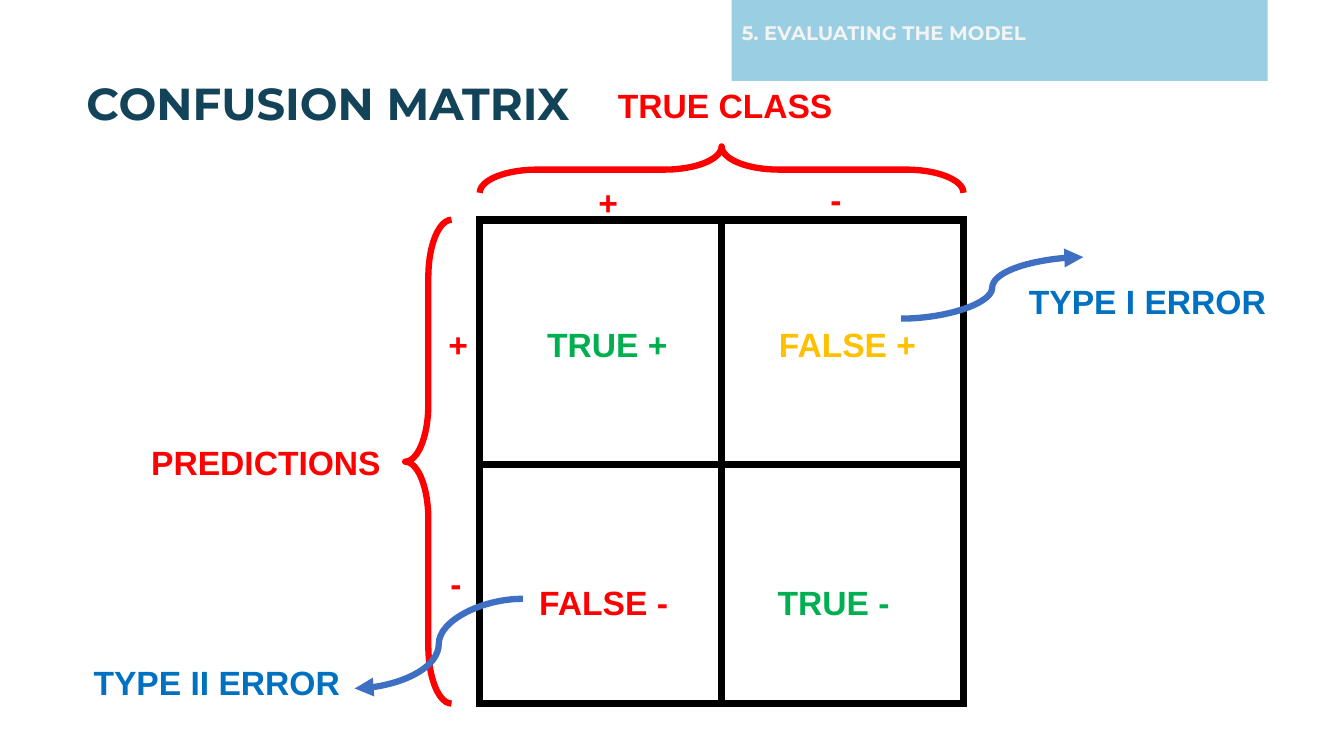
from dataclasses import dataclass
from lxml import etree
from pptx import Presentation
from pptx.dml.color import RGBColor
from pptx.enum.shapes import MSO_CONNECTOR, MSO_SHAPE
from pptx.enum.text import MSO_ANCHOR, MSO_AUTO_SIZE, PP_ALIGN
from pptx.oxml.ns import qn
from pptx.util import Cm, Pt

RECT, BRACE = MSO_SHAPE.RECTANGLE, MSO_SHAPE.LEFT_BRACE
CURVE = MSO_CONNECTOR.CURVE
MIDDLE, LEFT = MSO_ANCHOR.MIDDLE, PP_ALIGN.LEFT
FIT, FIXED = MSO_AUTO_SIZE.SHAPE_TO_FIT_TEXT, MSO_AUTO_SIZE.NONE


@dataclass(frozen=True)
class Theme:
    head: str = "Montserrat"
    body: str = "Arial"
    bar: str = "9ACFE3"
    pale: str = "F3F3F1"
    navy: str = "124359"
    red: str = "FF0000"
    green: str = "00B050"
    gold: str = "FFC000"
    blue: str = "0070C0"
    arrow: str = "3F6FC3"
    grid: str = "000000"
    small: int = 14
    label: int = 24
    large: int = 32
    stroke: float = 4.5
    border: int = 6


T = Theme()

# Content: lengths in cm
SECTION = "5. EVALUATING THE MODEL"
HEADING = "CONFUSION MATRIX"
LABELS = [  # text, colour, left, top, width
    ("PREDICTIONS", T.red, 3.56, 11, 6.35),
    ("TRUE CLASS", T.red, 15.32, 2.01, 6.22),
    ("TRUE +", T.green, 13.54, 8.05, 3.58),
    ("FALSE +", T.gold, 19.38, 8.05, 4.01),
    ("FALSE -", T.red, 13.34, 14.53, 3.78),
    ("TRUE -", T.green, 19.35, 14.53, 3.35),
    ("+", T.red, 11.05, 8.05, 1.02),
    ("-", T.red, 11.1, 14.07, 0.71),
    ("+", T.red, 14.83, 4.45, 1.02),
    ("-", T.red, 20.68, 4.39, 0.71),
    ("TYPE II ERROR", T.blue, 2.11, 16.56, 7.01),
    ("TYPE I ERROR", T.blue, 25.68, 6.96, 6.55),
]
ARROWS = [  # from x, y, to x, y
    (13.18, 15.09, 8.94, 17.35),
    (22.71, 8.03, 27.3, 6.48),
]
GRID_X, GRID_Y, SIDE = 12.09, 5.54, 12.19
ROWS = (6.17, 6.02)
DEPTH, GAP_X, GAP_Y = 1.17, 0.71, 0.68
BAR_X, BAR_W = 18.44, 13.51

deck = Presentation()
deck.slide_width, deck.slide_height = Cm(33.87), Cm(19.05)
slide = deck.slides.add_slide(deck.slide_layouts[5])
shapes = slide.shapes


def box(*sizes):
    return [Cm(size) for size in sizes]


def write(shape, text, size, font, color, space=1.0):
    para = shape.text_frame.paragraphs[0]
    para.text, para.alignment, para.line_spacing = text, LEFT, space
    para.font.name, para.font.size, para.font.bold = font, Pt(size), True
    para.font.color.rgb = RGBColor.from_string(color)


def stroke(line, color):
    line.color.rgb = RGBColor.from_string(color)
    line.width = Pt(T.stroke)


# Section bar, placed behind the title
bar = shapes.add_shape(RECT, *box(BAR_X, -0.02, BAR_W, 2.06))
bar.shadow.inherit = False
bar.fill.solid()
bar.fill.fore_color.rgb = RGBColor.from_string(T.bar)
bar.line.fill.background()
shapes.element.insert(2, bar.element)

# Title and heading
title = shapes.title
title.left, title.top, title.width, title.height = box(BAR_X, 0.1, BAR_W, 1.5)
write(title, SECTION, T.small, T.head, T.pale, 0.9)
head = shapes.add_textbox(*box(1.93, 2.01, 16.51, 1.42))
write(head, HEADING, T.large, T.head, T.navy, 0.8)
for shape in (title, head):
    frame = shape.text_frame
    frame.word_wrap, frame.auto_size = True, FIXED
    frame.vertical_anchor = MIDDLE

# Matrix
table = shapes.add_table(2, 2, *box(GRID_X, GRID_Y, SIDE, SIDE)).table
table.first_row = table.horz_banding = False
for col in table.columns:
    col.width = Cm(SIDE / 2)
for row, tall in zip(table.rows, ROWS):
    row.height = Cm(tall)
for cell in table.iter_cells():
    props = cell._tc.get_or_add_tcPr()
    for side in ("a:lnL", "a:lnR", "a:lnT", "a:lnB"):
        edge = etree.SubElement(props, qn(side), w=str(Pt(T.border)))
        fill = etree.SubElement(edge, qn("a:solidFill"))
        etree.SubElement(fill, qn("a:srgbClr"), val=T.grid)
    cell.fill.background()

# Braces: one left of the matrix, one turned to lie above it
mid = GRID_X + SIDE / 2
top = GRID_Y - GAP_Y - DEPTH / 2
for left, high, turn in (
    (GRID_X - GAP_X - DEPTH, GRID_Y, 0),
    (mid - DEPTH / 2, top - SIDE / 2, 90),
):
    brace = shapes.add_shape(BRACE, *box(left, high, DEPTH, SIDE))
    brace.shadow.inherit = False
    brace.rotation = turn
    brace.adjustments[0] = 1.24
    brace.fill.background()
    stroke(brace.line, T.red)

# Labels
for text, color, left, high, wide in LABELS:
    label = shapes.add_textbox(*box(left, high, wide, 1.27))
    label.text_frame.word_wrap = False
    label.text_frame.auto_size = FIT
    write(label, text, T.label, T.body, color)

# Curved arrows to the error types
for ends in ARROWS:
    arrow = shapes.add_connector(CURVE, *box(*ends))
    stroke(arrow.line, T.arrow)
    etree.SubElement(arrow.line._get_or_add_ln(), qn("a:tailEnd"), type="triangle")
    etree.SubElement(arrow.element.spPr, qn("a:effectLst"))

deck.save("out.pptx")
